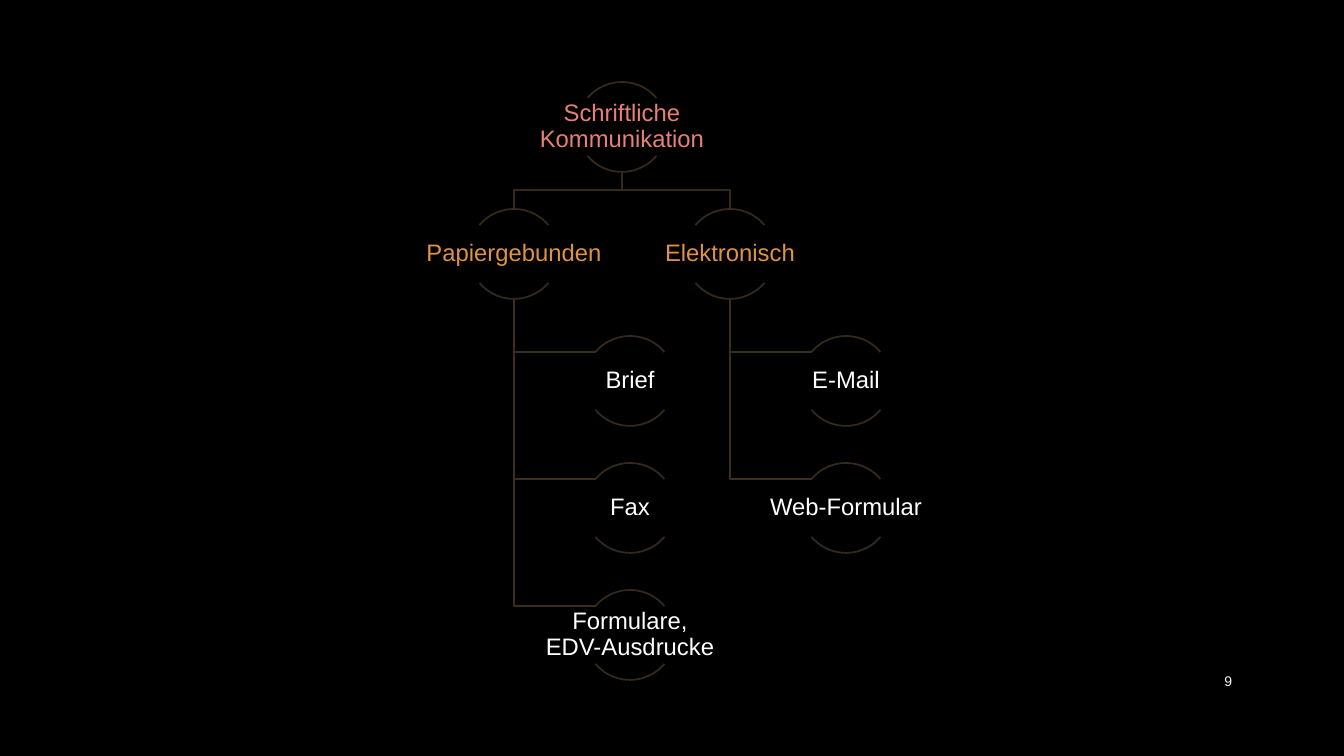
import pptx
import pptx.util
import pptx.dml.color
import pptx.enum.shapes
import pptx.enum.text

PX = 9071  # EMU per px

THEME = {
    "background": "000000",
    "arc": "34291D",
    "branch": "3B2E21",
    "root": "E78075",
    "category": "DF9343",
    "leaf": "FFFFFF",
    "number": "F2F2F2",
    "font": "Arial",
    "label_size": 17,
    "number_size": 10,
    "line_width": 1.25,
}

# Tree layout: circle diameter, row step, label box and branch geometry
CIRCLE = 90
RADIUS = CIRCLE // 2
ROW_TOP, ROW_STEP = 82, 127
LABEL_WIDTH, LABEL_HEIGHT = 178, 58
LABEL_DROP = (CIRCLE - LABEL_HEIGHT) // 2
ARC_REACH = 34
COLUMN_LEFT, COLUMN_STEP, LEAF_INDENT = 514, 216, 116
ROOT_X = COLUMN_LEFT + COLUMN_STEP // 2
ARCS = [(132, 192), (24, 84)]  # upper and lower arc, in 100,000ths of angle units

BRANCHES = [
    ("Papiergebunden", ["Brief", "Fax", "Formulare, EDV-Ausdrucke"]),
    ("Elektronisch", ["E-Mail", "Web-Formular"]),
]


def style_line(shape, color):
    shape.shadow.inherit = False
    shape.fill.background()
    shape.line.color.rgb = pptx.dml.color.RGBColor.from_string(THEME[color])
    shape.line.width = pptx.util.Pt(THEME["line_width"])


def add_label(area, text, color, size, align, inset, spacing):
    box = slide.shapes.add_textbox(*[value * PX for value in area])
    frame = box.text_frame
    frame_format = {
        "word_wrap": True,
        "vertical_anchor": pptx.enum.text.MSO_ANCHOR.MIDDLE,
        "margin_left": inset * PX,
        "margin_right": inset * PX,
        "margin_top": inset * PX,
        "margin_bottom": inset * PX,
    }
    for name, value in frame_format.items():
        setattr(frame, name, value)
    para = frame.paragraphs[0]
    para.alignment = align
    para.line_spacing = spacing
    span = para.add_run()
    span.text = text
    span.font.name = THEME["font"]
    span.font.size = pptx.util.Pt(THEME[size])
    span.font.color.rgb = pptx.dml.color.RGBColor.from_string(THEME[color])


# Slide
deck = pptx.Presentation()
deck.slide_width = 1344 * PX
deck.slide_height = 756 * PX
slide = deck.slides.add_slide(deck.slide_layouts[6])
slide.background.fill.solid()
slide.background.fill.fore_color.rgb = pptx.dml.color.RGBColor.from_string(THEME["background"])

# Place nodes and work out the lines between them
row_tops = [ROW_TOP + row * ROW_STEP for row in range(5)]
root_bottom = row_tops[0] + CIRCLE
category_bottom = row_tops[1] + CIRCLE
fork_y = (root_bottom + row_tops[1]) // 2
nodes = [("Schriftliche Kommunikation", "root", ROOT_X, row_tops[0])]
links = []
for column, (category, leaves) in enumerate(BRANCHES):
    x = COLUMN_LEFT + column * COLUMN_STEP
    nodes.append((category, "category", x, row_tops[1]))
    links.append(("arc", [(ROOT_X, root_bottom), (ROOT_X, fork_y), (x, fork_y), (x, row_tops[1])]))
    for leaf, top in zip(leaves, row_tops[2:]):
        leaf_x = x + LEAF_INDENT
        leaf_y = top + LABEL_DROP
        nodes.append((leaf, "leaf", leaf_x, top))
        links.append(("branch", [(x, category_bottom), (x, leaf_y), (leaf_x - ARC_REACH, leaf_y)]))

# Connecting lines
for color, points in links:
    builder = slide.shapes.build_freeform(*points[0], scale=PX)
    builder.add_line_segments(points[1:], close=False)
    style_line(builder.convert_to_shape(), color)

# Nodes: two arcs and a label each
for text, level, x, top in nodes:
    for angles in ARCS:
        arc = slide.shapes.add_shape(
            pptx.enum.shapes.MSO_SHAPE.ARC,
            (x - RADIUS) * PX, top * PX, CIRCLE * PX, CIRCLE * PX,
        )
        arc.adjustments[0], arc.adjustments[1] = angles
        style_line(arc, "arc")
    area = (x - LABEL_WIDTH // 2, top + LABEL_DROP, LABEL_WIDTH, LABEL_HEIGHT)
    add_label(area, text, level, "label_size", pptx.enum.text.PP_ALIGN.CENTER, 1, 0.9)

# Slide number
add_label((1159, 661, 83, 40), "9", "number", "number_size", pptx.enum.text.PP_ALIGN.RIGHT, 10, 1.0)

deck.save("out.pptx")
